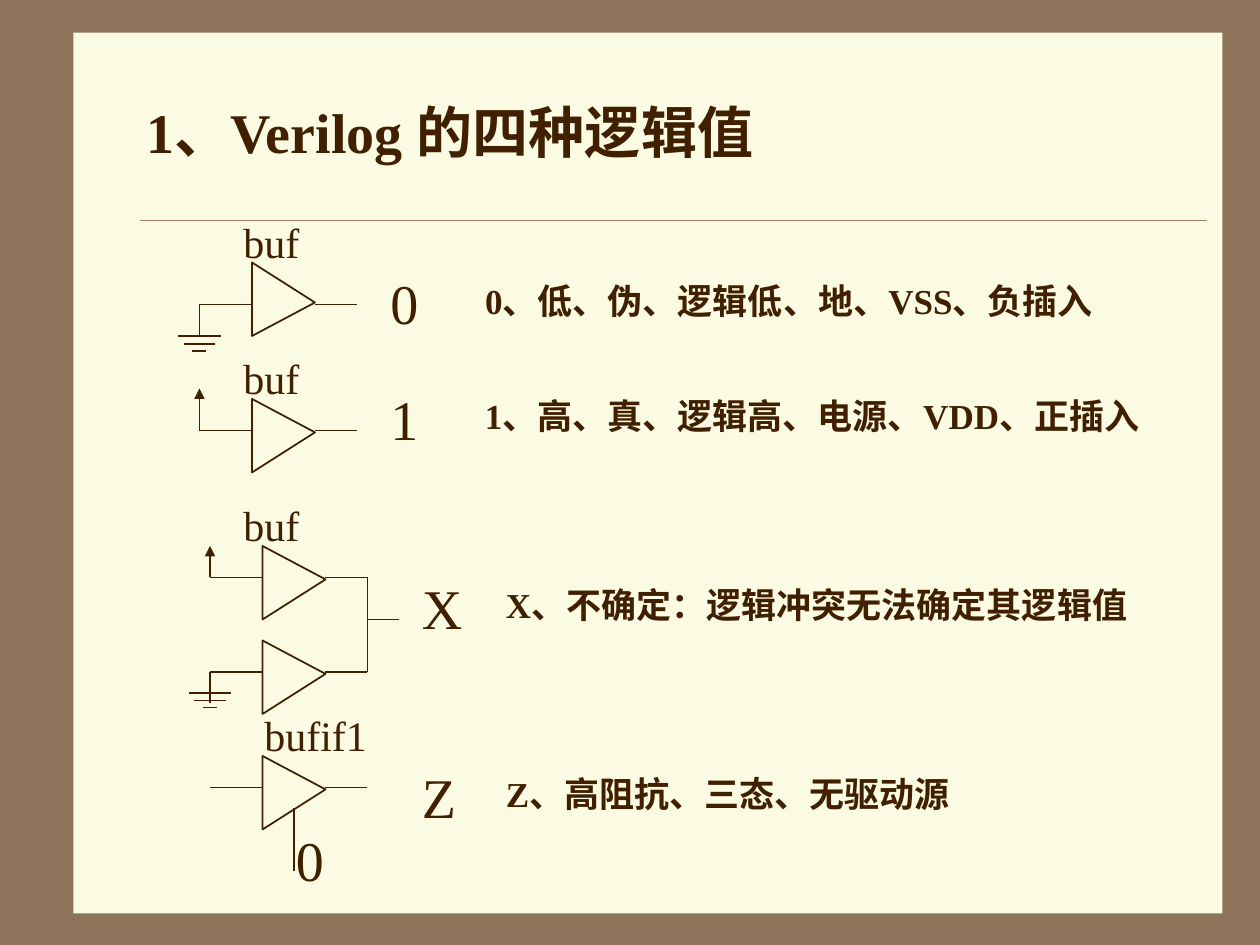
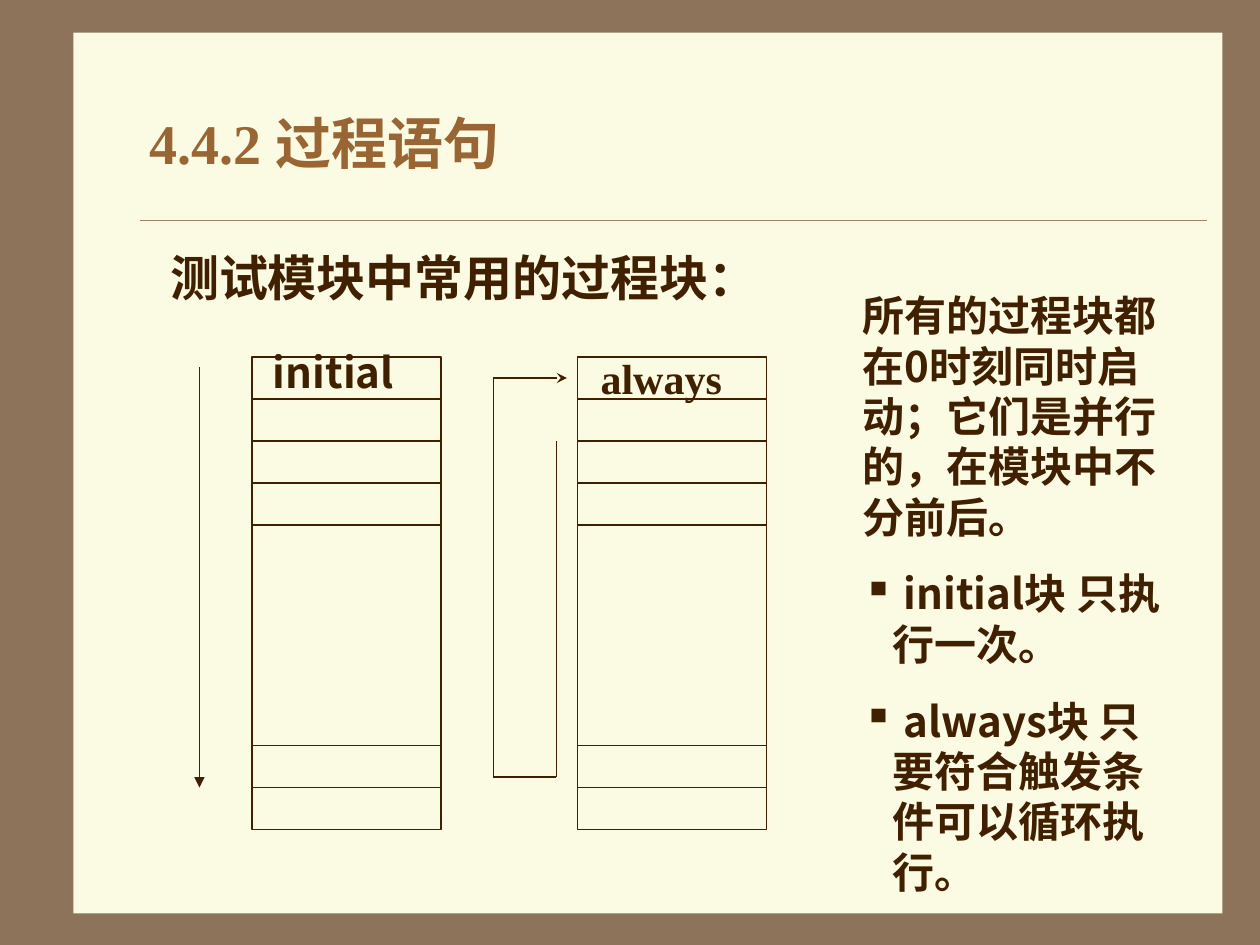
"""Build two slides on Verilog logic values and procedural blocks."""
from lxml import etree
from pptx import Presentation
from pptx.dml import color
from pptx.enum import shapes, text
from pptx.oxml import ns
from pptx.util import Pt

COLORS = {"frame": "8C735A", "panel": "FBFAE2", "rule": "A08366",
          "ink": "402000", "heading": "996633"}
SERIF, SANS = "Times New Roman", "Noto Sans CJK SC"

VALUES_TITLE = "1、Verilog 的四种逻辑值"
MEANINGS = [
    ("0、低、伪、逻辑低、地、VSS、负插入", 270, 156, 55.5),
    ("1、高、真、逻辑高、电源、VDD、正插入", 270, 222, 55.5),
    ("X、不确定：逻辑冲突无法确定其逻辑值", 282, 330, 31.5),
    ("Z、高阻抗、三态、无驱动源", 282, 438, 31.5),
]
GATES = [(144, 150, 174, 0.545), (144, 228, 246, 0.455), (150, 312, 330, 0.455),
         (150, 366, 384, 0.455), (150, 432, 450, 0.455)]
GROUNDS = [(114, 174, 192, 192), (120, 384, 396, 402)]
GROUND_BARS = [(0, 12), (4.5, 9), (8.5, 4)]
SUPPLIES = [(114, 246, 222), (120, 330, 312)]
WIRES = [(210, 330, 210, 384), (210, 354, 228, 354), (168, 462, 168, 498)]
OUTPUT_VALUES = [("0", 216, 150), ("1", 216, 216), ("X", 234, 324),
                 ("Z", 234, 432), ("0", 162, 468)]
GATE_NAMES = [("buf", 132, 120), ("buf", 132, 198), ("buf", 132, 282),
              ("bufif1", 144, 402)]

BLOCKS_TITLE = "4.4.2 过程语句"
BLOCKS_LEAD = "测试模块中常用的过程块："
BLOCK_LEFTS = [144, 330]
BLOCK_ROWS = [228, 252, 276, 300, 426, 450]
LOOP = [(282, 216, 282, 444), (318, 252, 318, 444), (318, 444, 282, 444)]
NOTES = ["所有的过程块都在0时刻同时启动；它们是并行的，在模块中不分前后。",
         " initial块 只执行一次。",
         " always块 只要符合触发条件可以循环执行。"]


def rgb(name):
    return color.RGBColor.from_string(COLORS[name])


def place(shape, left, top, width, height):
    shape.left, shape.top = Pt(left), Pt(top)
    shape.width, shape.height = Pt(width), Pt(height)


def write(shape, lines, size=24, font=SERIF, ink="ink", bold=False,
          align=text.PP_ALIGN.LEFT, anchor=text.MSO_ANCHOR.TOP, hanging=0,
          gap=0, bullet_from=None, insets=(7.2, 3.6)):
    frame = shape.text_frame
    frame.word_wrap = True
    frame.auto_size = text.MSO_AUTO_SIZE.NONE
    frame.vertical_anchor = anchor
    frame.margin_left, frame.margin_top = Pt(insets[0]), Pt(insets[1])
    frame.margin_right, frame.margin_bottom = Pt(min(insets[0], 7.2)), Pt(insets[1])
    for index, line in enumerate(lines):
        para = frame.paragraphs[0] if index == 0 else frame.add_paragraph()
        bulleted = bullet_from is not None and index >= bullet_from
        indent = hanging if bulleted or bullet_from is None else 0
        props = para._p.get_or_add_pPr()
        props.set("marL", str(int(Pt(indent))))
        props.set("indent", str(-int(Pt(indent))))
        bullet = etree.SubElement(props, ns.qn("a:buChar" if bulleted else "a:buNone"))
        if bulleted:
            bullet.set("char", "▪")
        para.alignment = align
        para.space_before = Pt(gap if index else 0)
        span = para.add_run()
        span.text = line
        span.font.size, span.font.bold = Pt(size), bold
        span.font.name = font
        span.font.color.rgb = rgb(ink)
        east = etree.SubElement(span._r.get_or_add_rPr(), ns.qn("a:ea"))
        east.set("typeface", SANS)


def add_text(page, lines, left, top, width, height, **style):
    box = page.shapes.add_textbox(Pt(left), Pt(top), Pt(width), Pt(height))
    write(box, lines, **style)
    return box


def add_line(page, x1, y1, x2, y2, weight=0.75, ink="ink", head=None):
    line = page.shapes.add_connector(
        shapes.MSO_CONNECTOR.STRAIGHT, Pt(x1), Pt(y1), Pt(x2), Pt(y2))
    line.line.color.rgb = rgb(ink)
    line.line.width = Pt(weight)
    if head:
        etree.SubElement(line.line._get_or_add_ln(), ns.qn("a:tailEnd")).set("type", head)
    etree.SubElement(line.element.spPr, ns.qn("a:effectLst"))
    return line


def add_box(page, kind, left, top, width, height, fill=None, weight=None):
    box = page.shapes.add_shape(kind, Pt(left), Pt(top), Pt(width), Pt(height))
    box.shadow.inherit = False
    if fill:
        box.fill.solid()
        box.fill.fore_color.rgb = rgb(fill)
    else:
        box.fill.background()
    if weight:
        box.line.color.rgb = rgb("ink")
        box.line.width = Pt(weight)
    else:
        box.line.fill.background()
    return box


def fill_panel(shape):
    shape.fill.solid()
    shape.fill.fore_color.rgb = rgb("panel")


def style_master(deck, page):
    master = deck.slide_master
    master.background.fill.solid()
    master.background.fill.fore_color.rgb = rgb("frame")
    panel = add_box(page, shapes.MSO_SHAPE.RECTANGLE, 42, 18.7, 656.5, 503.3, "panel")
    rule = add_line(page, 80, 126, 690, 126, 0.25, "rule")
    for position, part in enumerate((panel, rule), 2):
        master.shapes.element.insert(position, part.element)


def add_gate(page, left, top, pin, apex):
    gate = add_box(page, shapes.MSO_SHAPE.ISOSCELES_TRIANGLE,
                   left - 3, top + 3, 42, 36, weight=1)
    gate.adjustments[0] = apex
    gate.rotation = 90
    add_line(page, left + 36, pin, left + 60, pin, 1)
    add_line(page, left, pin, left - 30, pin, 1)


def add_ground(page, x, pin, bar_top, stem_end):
    add_line(page, x, pin, x, stem_end)
    for drop, half in GROUND_BARS:
        add_line(page, x - half, bar_top + drop, x + half, bar_top + drop)


def build_values(page):
    title, body = page.placeholders
    place(title, 76.5, 33, 618, 84)
    fill_panel(title)
    write(title, [VALUES_TITLE], size=32, bold=True, anchor=text.MSO_ANCHOR.MIDDLE)
    for index, (meaning, left, top, height) in enumerate(MEANINGS):
        if index == 0:
            box = body
            place(box, left, top, 402, height)
            fill_panel(box)
        else:
            box = add_box(page, shapes.MSO_SHAPE.RECTANGLE, left, top, 402, height, "panel")
        write(box, [meaning], size=20, bold=True, hanging=27,
              align=text.PP_ALIGN.JUSTIFY)
    for gate in GATES:
        add_gate(page, *gate)
    for ground in GROUNDS:
        add_ground(page, *ground)
    for x, pin, tip in SUPPLIES:
        add_line(page, x, pin, x, tip, head="triangle")
    for wire in WIRES:
        add_line(page, *wire)
    for value, left, top in OUTPUT_VALUES:
        add_text(page, [value], left, top, 48, 46, size=32)
    for name, left, top in GATE_NAMES:
        add_text(page, [name], left, top, 78, 36)


def build_blocks(page):
    title, body = page.placeholders
    place(title, 78, 36, 612, 90)
    write(title, [BLOCKS_TITLE], size=32, bold=True, ink="heading",
          anchor=text.MSO_ANCHOR.MIDDLE)
    place(body, 90, 138, 594, 48)
    fill_panel(body)
    write(body, [BLOCKS_LEAD], size=28, bold=True, hanging=27)
    for left in BLOCK_LEFTS:
        add_box(page, shapes.MSO_SHAPE.RECTANGLE, left, 204, 108, 270, weight=0.75)
        for row in BLOCK_ROWS:
            add_line(page, left, row, left + 108, row)
    add_line(page, 114, 210, 114, 450, head="triangle")
    add_line(page, 282, 216, 324, 216, head="stealth")
    for side in LOOP:
        add_line(page, *side)
    add_text(page, ["initial"], 156, 198, 138, 36, font=SANS, bold=True, insets=(0, 0))
    add_text(page, ["always"], 324, 198, 114, 36, bold=True, insets=(19.2, 3.6))
    add_text(page, NOTES, 486, 162, 186, 325.5, font=SANS, bold=True,
             gap=15, hanging=17, bullet_from=1)


def main():
    deck = Presentation()
    deck.slide_width, deck.slide_height = Pt(720), Pt(540)
    pages = [deck.slides.add_slide(deck.slide_layouts[1]) for _ in range(2)]
    style_master(deck, pages[0])
    build_values(pages[0])
    build_blocks(pages[1])
    deck.save("out.pptx")


if __name__ == "__main__":
    main()
